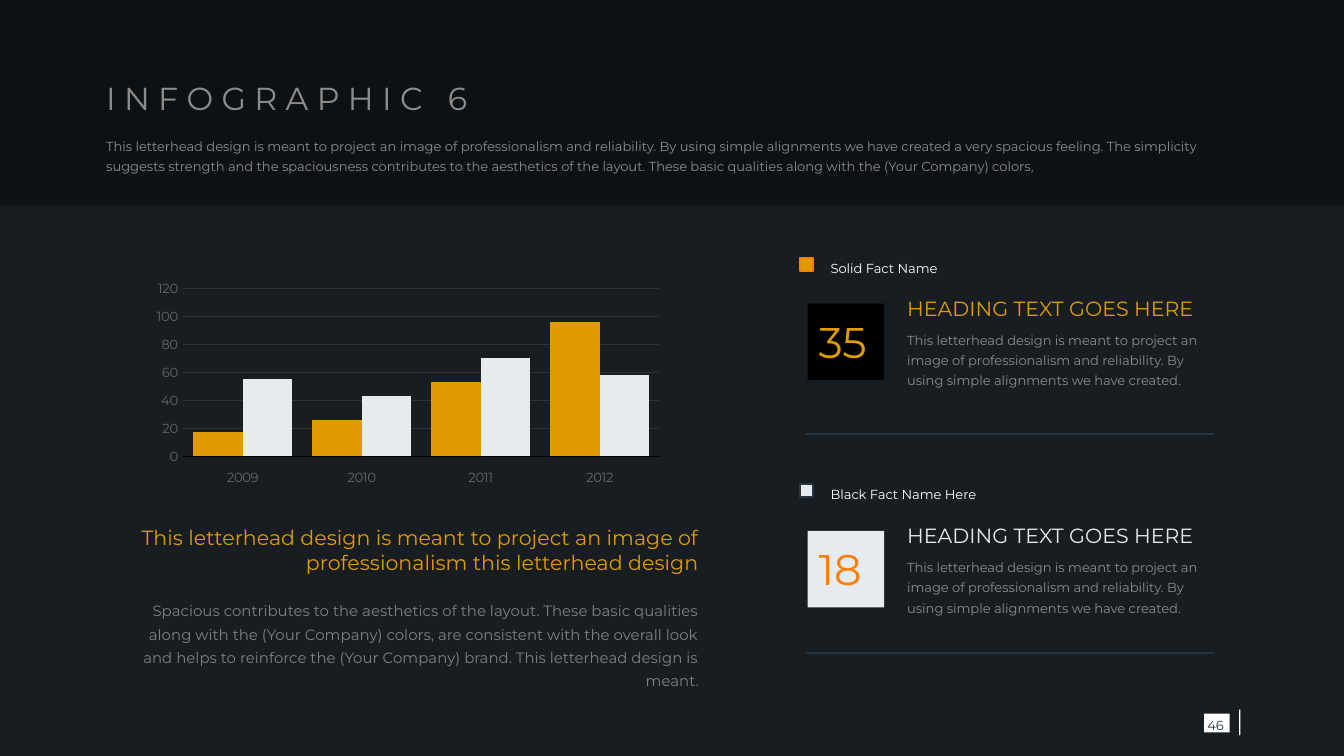
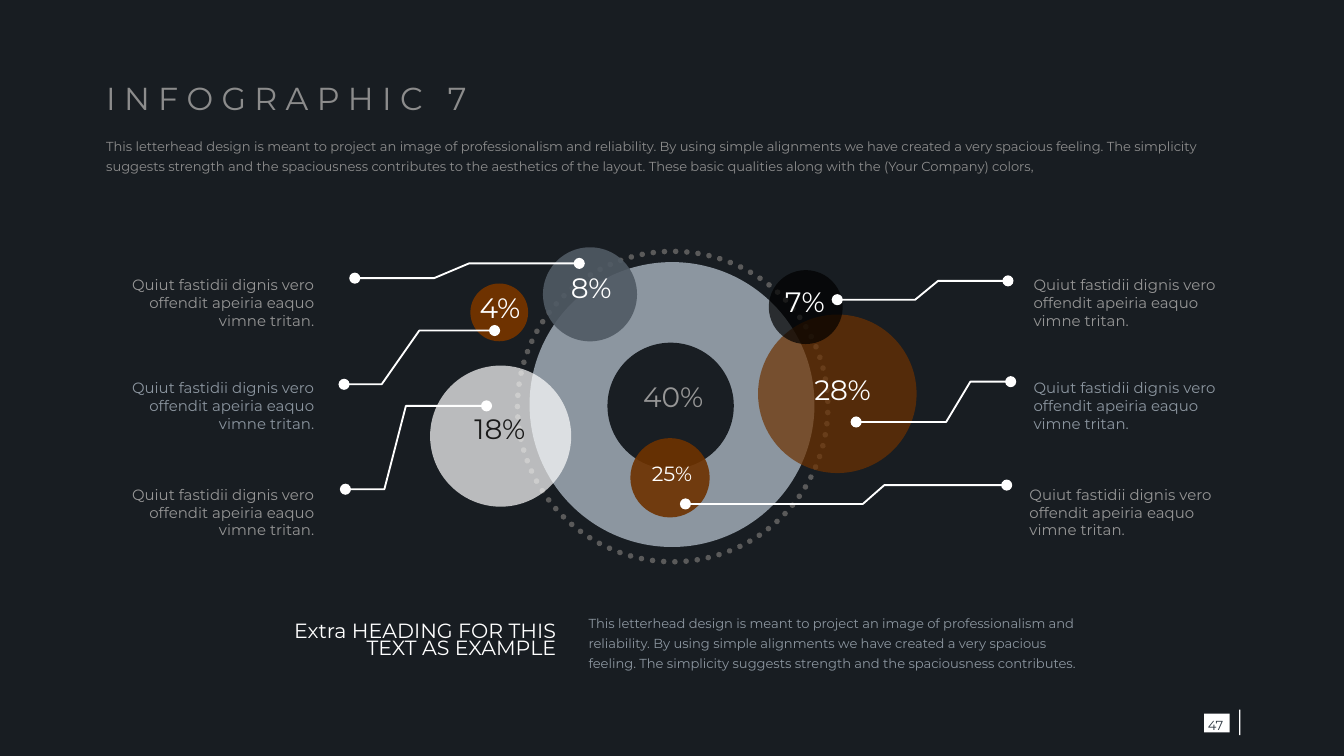
"""Build two dark infographic slides: a bar chart with facts, and a bubble map."""
import dataclasses
import typing

import lxml.etree
import pptx
import pptx.chart.data
import pptx.dml.color
import pptx.enum.chart
import pptx.enum.dml
import pptx.enum.shapes
import pptx.enum.text
import pptx.oxml.ns
import pptx.util

PX = 9144
FACE = "Montserrat"
DARK, BLACK, WHITE = "181D22", "000000", "FFFFFF"
GOLD, PALE, FLAME = "E19B00", "E6EBF0", "FF7D00"
GREY, STEEL, ASH, SLATE, BROWN = "8C8C8C", "8C96A0", "969696", "2B353F", "6E3200"
LEFT = pptx.enum.text.PP_ALIGN.LEFT
MID = pptx.enum.text.PP_ALIGN.CENTER
RIGHT = pptx.enum.text.PP_ALIGN.RIGHT
TOP = pptx.enum.text.MSO_ANCHOR.TOP
CORE = pptx.enum.text.MSO_ANCHOR.MIDDLE
RECT = pptx.enum.shapes.MSO_SHAPE.RECTANGLE
OVAL = pptx.enum.shapes.MSO_SHAPE.OVAL
Box = tuple[int, int, int, int]

OPEN = "This letterhead design is meant to project an image of professionalism"
MORE = f"{OPEN} and reliability. By using simple alignments we have created"
INTRO = (f"{MORE} a very spacious feeling. The simplicity suggests strength and the "
         "spaciousness contributes to the aesthetics of the layout. These basic "
         "qualities along with the (Your Company) colors,")
CLAIM = f"{OPEN} this letterhead design"
STORY = ("Spacious contributes to the aesthetics of the layout. These basic qualities "
         "along with the (Your Company) colors, are consistent with the overall look "
         "and helps to reinforce the (Your Company) brand. This letterhead design is meant.")
CLOSE = (f"{MORE} a very spacious feeling. The simplicity suggests strength and the "
         "spaciousness contributes.")
QUOTE = "Quiut fastidii dignis vero offendit apeiria eaquo vimne tritan."


@dataclasses.dataclass(frozen=True)
class Note:
    """A block of text in one style."""
    words: str
    box: Box
    size: int = 7
    tone: str = GREY
    lead: float = 1.3
    side: typing.Any = LEFT
    hold: typing.Any = CORE


@dataclasses.dataclass(frozen=True)
class Form:
    """A preset shape with its fill and line."""
    kind: typing.Any
    box: Box
    fill: str | None = None
    clear: int = 100
    edge: str | None = None
    width: float = 1


@dataclasses.dataclass(frozen=True)
class Fact:
    """A keyed fact with a number tile."""
    top: int
    base: int
    name: str
    count: str
    tile: str
    digit: str
    key: str
    rim: str
    head: str
    rule: int


@dataclasses.dataclass(frozen=True)
class Ball:
    """A round bubble and its share label."""
    box: Box
    fill: str
    clear: int
    share: str
    spot: Box
    tone: str = WHITE
    size: int = 15


FACTS = (
    Fact(192, 226, "Solid Fact Name", "35", BLACK, GOLD, GOLD, FLAME, GOLD, 323),
    Fact(360, 395, "Black Fact Name Here", "18", PALE, FLAME, PALE, SLATE, PALE, 486),
)
BALLS = (
    Ball((404, 184, 70, 70), "505A64", 90, "8%", (415, 202, 50, 27)),
    Ball((350, 211, 43, 43), BROWN, 100, "4%", (347, 217, 50, 27)),
    Ball((320, 272, 105, 105), WHITE, 70, "18%", (347, 307, 50, 27), "1A1A1A"),
    Ball((452, 255, 94, 94), "191E23", 100, "40%", (476, 283, 50, 27), ASH),
    Ball((564, 234, 118, 118), BROWN, 70, "28%", (602, 278, 50, 27)),
    Ball((572, 201, 55, 55), BLACK, 70, "7%", (574, 212, 50, 27)),
    Ball((469, 326, 59, 59), BROWN, 90, "25%", (469, 328, 62, 51), WHITE, 11),
)
LEADS = (
    ((264, 207), (323, 207), (349, 196), (431, 196)),
    ((256, 286), (284, 286), (312, 246), (368, 246)),
    ((257, 364), (286, 364), (302, 302), (362, 302)),
    ((750, 209), (698, 209), (681, 223), (623, 223)),
    ((752, 284), (722, 284), (704, 314), (637, 314)),
    ((749, 361), (658, 361), (642, 375), (510, 375)),
)


def hue(code: str) -> pptx.dml.color.RGBColor:
    """Turn a hex string into a colour."""
    return pptx.dml.color.RGBColor.from_string(code)


def span(*sizes: int) -> list[int]:
    """Turn px into EMU."""
    return [size * PX for size in sizes]


def put(item: typing.Any, looks: dict[str, typing.Any]) -> None:
    """Set each format value on the item."""
    for name, value in looks.items():
        setattr(item, name, value)


def tag(base: typing.Any, name: str, **facts: str) -> typing.Any:
    """Add a child element."""
    return lxml.etree.SubElement(base, pptx.oxml.ns.qn(name), **facts)


def ink(line: typing.Any, code: str | None, width: float = 1) -> None:
    """Style a line, or hide it."""
    if code is None:
        line.fill.background()
        return
    line.color.rgb = hue(code)
    line.width = pptx.util.Pt(width)


def write(slide: typing.Any, note: Note) -> None:
    """Draw a text block."""
    frame = slide.shapes.add_textbox(*span(*note.box)).text_frame
    put(frame, {"word_wrap": True, "vertical_anchor": note.hold, "margin_left": 0,
                "margin_right": 0, "margin_top": 0, "margin_bottom": 0})
    para = frame.paragraphs[0]
    put(para, {"alignment": note.side, "line_spacing": note.lead})
    run = para.add_run()
    run.text = note.words
    put(run.font, {"name": FACE, "size": pptx.util.Pt(note.size)})
    run.font.color.rgb = hue(note.tone)


def draw(slide: typing.Any, form: Form) -> typing.Any:
    """Draw a preset shape."""
    shape = slide.shapes.add_shape(form.kind, *span(*form.box))
    shape.shadow.inherit = False
    if form.fill is None:
        shape.fill.background()
    else:
        shape.fill.solid()
        shape.fill.fore_color.rgb = hue(form.fill)
    if form.clear < 100:
        shade = shape.element.spPr.xpath("./a:solidFill/a:srgbClr")[0]
        tag(shade, "a:alpha", val=str(form.clear * 1000))
    ink(shape.line, form.edge, form.width)
    return shape


def rule(slide: typing.Any, top: int) -> None:
    """Draw a level line below a fact."""
    line = slide.shapes.add_connector(pptx.enum.shapes.MSO_CONNECTOR.STRAIGHT,
                                      *span(600, top, 903, top))
    ink(line.line, "28323C")
    tag(line.element.spPr, "a:effectLst")


def lead(slide: typing.Any, spots: tuple[tuple[int, int], ...]) -> None:
    """Draw a bent line with a dot at each end."""
    pen = slide.shapes.build_freeform(*spots[0], scale=PX)
    pen.add_line_segments(spots[1:], close=False)
    shape = pen.convert_to_shape()
    shape.shadow.inherit = False
    shape.fill.background()
    ink(shape.line, WHITE)
    stroke = shape.element.spPr.find(pptx.oxml.ns.qn("a:ln"))
    for end in ("a:headEnd", "a:tailEnd"):
        tag(stroke, end, type="oval")


def start(deck: typing.Any) -> typing.Any:
    """Add a blank dark slide."""
    slide = deck.slides.add_slide(deck.slide_layouts[6])
    fill = slide.background.fill
    fill.solid()
    fill.fore_color.rgb = hue(DARK)
    return slide


def frame(slide: typing.Any, title: str, page: str) -> None:
    """Draw the title, the intro and the page mark."""
    write(slide, Note(" ".join(title), (79, 60, 441, 33), 17, lead=0.7))
    write(slide, Note(INTRO, (79, 99, 831, 31)))
    draw(slide, Form(RECT, (896, 531, 19, 14), WHITE))
    write(slide, Note(page, (893, 530, 23, 16), tone=SLATE, side=MID))
    draw(slide, Form(RECT, (922, 528, 1, 19), WHITE))


def graph(slide: typing.Any) -> None:
    """Draw the column chart."""
    data = pptx.chart.data.CategoryChartData()
    data.categories = ["2009", "2010", "2011", "2012"]
    data.add_series("Series 1", (17, 26, 53, 96))
    data.add_series("Series 2", (55, 43, 70, 58))
    kind = pptx.enum.chart.XL_CHART_TYPE.COLUMN_CLUSTERED
    chart = slide.shapes.add_chart(kind, *span(91, 177, 412, 187), data).chart
    put(chart, {"has_legend": False, "has_title": False})
    put(chart.font, {"name": "Lato", "size": pptx.util.Pt(12.1)})
    chart.font.color.rgb = hue(BLACK)
    plot = chart.plots[0]
    put(plot, {"gap_width": 40, "overlap": 0, "vary_by_categories": False})
    for row, code in zip(plot.series, (GOLD, PALE)):
        row.format.fill.solid()
        row.format.fill.fore_color.rgb = hue(code)
    none = pptx.enum.chart.XL_TICK_MARK.NONE
    for axis, edge in ((chart.category_axis, BLACK), (chart.value_axis, None)):
        put(axis, {"major_tick_mark": none, "minor_tick_mark": none})
        put(axis.tick_labels.font, {"name": FACE, "size": pptx.util.Pt(7.1)})
        axis.tick_labels.font.color.rgb = hue("676767")
        ink(axis.format.line, edge, 0.36)
    chart.category_axis.tick_label_position = pptx.enum.chart.XL_TICK_LABEL_POSITION.LOW
    put(chart.value_axis, {"minimum_scale": 0, "maximum_scale": 120, "major_unit": 20,
                           "has_major_gridlines": True})
    ink(chart.value_axis.major_gridlines.format.line, SLATE, 0.36)
    area = chart.element.find(".//" + pptx.oxml.ns.qn("c:plotArea"))
    for old in area.findall(pptx.oxml.ns.qn("c:layout")):
        area.remove(old)
    room = tag(area, "c:layout")
    area.insert(0, room)
    place = tag(room, "c:manualLayout")
    parts = {"layoutTarget": "inner", "xMode": "edge", "yMode": "edge",
             "x": "0.11", "y": "0.2", "w": "0.86", "h": "0.67"}
    for name, value in parts.items():
        tag(place, f"c:{name}", val=value)


def show(slide: typing.Any, fact: Fact) -> None:
    """Draw a fact with its key, tile and text."""
    top, base = fact.top, fact.base
    draw(slide, Form(RECT, (595, top, 10, 10), fact.key, edge=fact.rim))
    write(slide, Note(fact.name, (618, top - 2, 115, 16), tone=WHITE))
    write(slide, Note("HEADING TEXT GOES HERE", (675, base - 11, 224, 32), 11, fact.head, 0.8))
    write(slide, Note(f"{MORE}.", (675, base + 17, 224, 47)))
    draw(slide, Form(RECT, (601, base, 57, 57), fact.tile))
    write(slide, Note(fact.count, (609, base + 7, 42, 42), 23, fact.digit, 1.0))
    rule(slide, fact.rule)


def bars(deck: typing.Any) -> None:
    """Build the chart slide."""
    slide = start(deck)
    draw(slide, Form(RECT, (-4, -2, 1007, 155), BLACK, 40))
    graph(slide)
    for fact in FACTS:
        show(slide, fact)
    write(slide, Note(STORY, (104, 444, 416, 56), 8, "808080", 1.3, RIGHT, TOP))
    write(slide, Note(CLAIM, (104, 391, 416, 47), 11, GOLD, 1.0, RIGHT, TOP))
    frame(slide, "INFOGRAPHIC 6", "46")


def rings(deck: typing.Any) -> None:
    """Build the bubble slide."""
    slide = start(deck)
    ring = draw(slide, Form(OVAL, (385, 187, 231, 231), edge="5A5A5A", width=3))
    ring.line.dash_style = pptx.enum.dml.MSO_LINE.ROUND_DOT
    ring.element.spPr.find(pptx.oxml.ns.qn("a:ln")).set("cap", "rnd")
    draw(slide, Form(OVAL, (394, 195, 212, 212), STEEL))
    for ball in BALLS:
        draw(slide, Form(OVAL, ball.box, ball.fill, ball.clear))
        write(slide, Note(ball.share, ball.spot, ball.size, ball.tone, 0.9, MID))
    for left, side in ((86, RIGHT), (769, LEFT)):
        for top, tone, grow in ((204, ASH, 0), (281, STEEL, 0), (360, ASH, 3)):
            box = (left - grow, top, 148 + grow, 42)
            write(slide, Note(QUOTE, box, 8, tone, 1.0, side))
    for spots in LEADS:
        lead(slide, spots)
    write(slide, Note("Extra HEADING FOR THIS TEXT AS EXAMPLE", (206, 459, 208, 37),
                      11, WHITE, 0.7, RIGHT))
    write(slide, Note(CLOSE, (438, 454, 376, 46), tone=STEEL))
    frame(slide, "INFOGRAPHIC 7", "47")


def main() -> None:
    """Build and save the deck."""
    deck = pptx.Presentation()
    wide, = span(1000)
    put(deck, {"slide_width": wide, "slide_height": wide * 9 // 16})
    bars(deck)
    rings(deck)
    deck.save("out.pptx")


if __name__ == "__main__":
    main()
